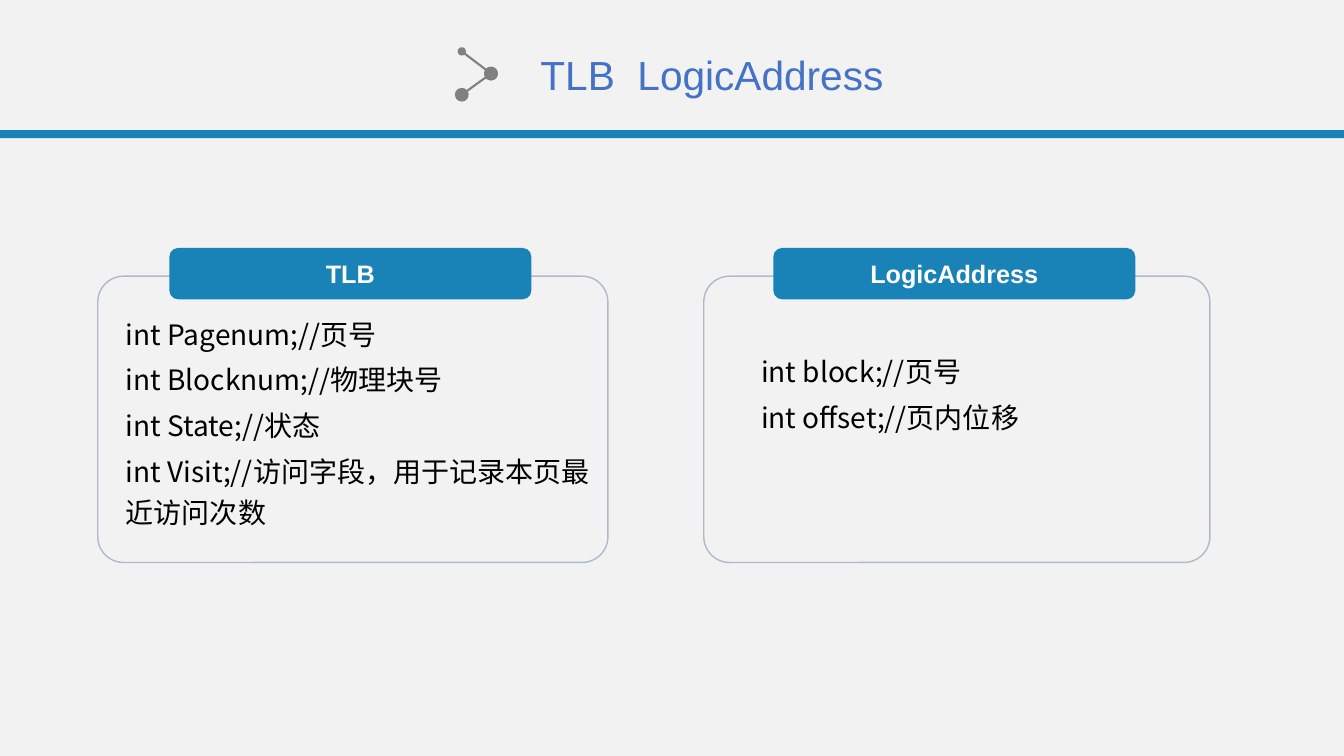
from dataclasses import dataclass

from lxml import etree
from pptx import Presentation
from pptx import util as u
from pptx.dml.color import RGBColor
from pptx.enum import shapes, text
from pptx.oxml import ns

PX = 9144  # 100 px to the inch
BLUE, GREY, EDGE = "1983B7", "808080", "ADBACA"
LATIN, CJK = "Arial", "Noto Sans CJK SC"
ROUND = shapes.MSO_SHAPE.ROUNDED_RECTANGLE
Box = tuple[int, int, int, int]


@dataclass
class Card:
    name: str
    panel: Box
    tag: Box
    body: Box
    rows: list[str]


@dataclass
class Link:
    start: tuple[int, int]
    end: tuple[int, int]
    head: str


CARDS = [
    Card("TLB", (97, 274, 506, 284), (168, 246, 359, 51), (115, 303, 506, 227),
         ["int Pagenum;//页号", "int Blocknum;//物理块号", "int State;//状态",
          "int Visit;//访问字段，用于记录本页最近访问次数"]),
    Card("LogicAddress", (698, 274, 502, 284), (767, 246, 359, 51),
         (745, 340, 429, 94), ["int block;//页号", "int offset;//页内位移"]),
]
LINKS = [Link((458, 51), (487, 73), "med"), Link((487, 73), (458, 94), "lg")]


def emu(*sizes: int) -> list[int]:
    return [size * PX for size in sizes]


def paint(target, color: str) -> None:
    """Give a fill, as found on shapes, lines and backgrounds, a solid colour."""
    target.solid()
    target.fore_color.rgb = RGBColor.from_string(color)


def style(run, face: str, size: int, color: str, bold: bool = False) -> None:
    form = {"name": face, "size": u.Pt(size), "bold": bold}
    for key, value in form.items():
        setattr(run.font, key, value)
    run.font.color.rgb = RGBColor.from_string(color)
    east = etree.SubElement(run.font._element, ns.qn("a:ea"))
    east.set("typeface", face)


def block(slide, kind, box: Box, fill: str = "", line: str = "", adj: float = 0):
    shape = slide.shapes.add_shape(kind, *emu(*box))
    shape.shadow.inherit = False
    if fill:
        paint(shape.fill, fill)
    else:
        shape.fill.background()
    if line:
        paint(shape.line.fill, line)
        shape.line.width = u.Pt(1)
    else:
        shape.line.fill.background()
    if adj:
        shape.adjustments[0] = adj
    return shape


def join(slide, link: Link) -> None:
    """Draw a line with a dot at both ends."""
    wire = slide.shapes.add_connector(
        shapes.MSO_CONNECTOR.STRAIGHT, *emu(*link.start, *link.end))
    paint(wire.line.fill, GREY)
    wire.line.width = u.Pt(1.5)
    edge = wire.line._get_or_add_ln()
    for end, size in (("headEnd", link.head), ("tailEnd", "lg")):
        dot = etree.SubElement(edge, ns.qn(f"a:{end}"))
        for key, value in {"type": "oval", "w": size, "len": size}.items():
            dot.set(key, value)
    etree.SubElement(wire._element.spPr, ns.qn("a:effectLst"))


def head(slide, words: str) -> None:
    title = slide.shapes.title
    place = dict(zip(("left", "top", "width", "height"), emu(526, 45, 364, 59)))
    for key, value in place.items():
        setattr(title, key, value)
    frame = title.text_frame
    form = {"word_wrap": False, "vertical_anchor": text.MSO_ANCHOR.TOP,
            "auto_size": text.MSO_AUTO_SIZE.SHAPE_TO_FIT_TEXT}
    for key, value in form.items():
        setattr(frame, key, value)
    para = frame.paragraphs[0]
    para.alignment = text.PP_ALIGN.LEFT
    run = para.add_run()
    run.text = words
    style(run, LATIN, 29, "4472C4")


def fields(slide, card: Card) -> None:
    frame = slide.shapes.add_textbox(*emu(*card.body)).text_frame
    frame.word_wrap = True
    for i, row in enumerate(card.rows):
        para = frame.add_paragraph() if i else frame.paragraphs[0]
        para.line_spacing = 1.2
        para.space_before = u.Pt(4)
        run = para.add_run()
        run.text = row
        style(run, CJK, 20, "000000")


def label(slide, card: Card) -> None:
    tag = block(slide, ROUND, card.tag, fill=BLUE, adj=0.17)
    tag.text_frame.vertical_anchor = text.MSO_ANCHOR.MIDDLE
    para = tag.text_frame.paragraphs[0]
    para.alignment = text.PP_ALIGN.CENTER
    run = para.add_run()
    run.text = card.name
    style(run, LATIN, 18, "FFFFFF", bold=True)


def main() -> None:
    deck = Presentation()
    deck.slide_width, deck.slide_height = emu(1333, 750)
    slide = deck.slides.add_slide(deck.slide_layouts.get_by_name("Title Only"))
    paint(slide.background.fill, "F2F2F2")
    block(slide, shapes.MSO_SHAPE.RECTANGLE, (0, 129, 1333, 8), fill=BLUE)
    head(slide, "TLB  LogicAddress")
    for link in LINKS:
        join(slide, link)
    for card in CARDS:
        block(slide, ROUND, card.panel, line=EDGE, adj=0.09)
        fields(slide, card)
        label(slide, card)
    deck.save("out.pptx")


if __name__ == "__main__":
    main()
